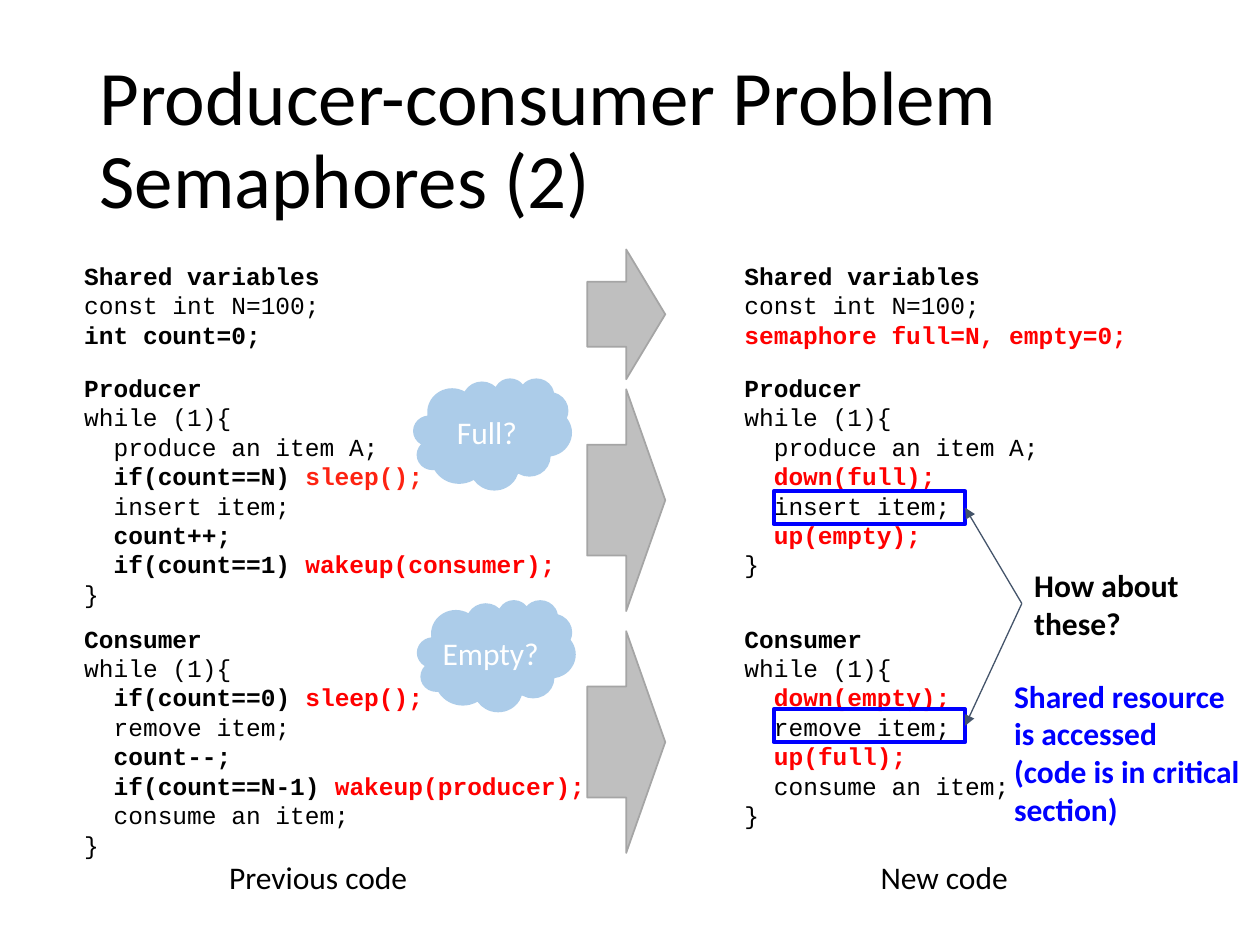
from lxml import etree
from pptx import Presentation
from pptx.dml.color import RGBColor
from pptx.enum import shapes, text
from pptx.oxml import ns
from pptx.util import Inches, Pt

rgb = RGBColor.from_string
MARKS = {"*": ("000000", True), "!": ("FF0000", True), "~": ("FD2312", True)}


def write(sp, lines, font="Calibri", size=18, color="000000", bold=False,
          align=text.PP_ALIGN.LEFT, anchor=text.MSO_ANCHOR.TOP, inset=(0.1, 0.05), wrap=True):
    tf = sp.text_frame
    tf.word_wrap, tf.vertical_anchor = wrap, anchor
    tf.margin_left = tf.margin_right = Inches(inset[0])
    tf.margin_top = tf.margin_bottom = Inches(inset[1])
    for i, line in enumerate(lines):
        p = tf.add_paragraph() if i else tf.paragraphs[0]
        p.alignment = align
        for part in line.split("|"):
            c, b = MARKS.get(part[0], (color, bold))
            r = p.add_run()
            r.text = part[1:] if part[0] in MARKS else part
            r.font.name, r.font.size, r.font.bold = font, Pt(size), b
            r.font.color.rgb = rgb(c)


def add_shape(kind, box, fill=None, line=None, width=1):
    sp = s.shapes.add_shape(kind, *map(Inches, box))
    sp.shadow.inherit = False
    if fill:
        sp.fill.solid()
        sp.fill.fore_color.rgb = rgb(fill)
    else:
        sp.fill.background()
    if line:
        sp.line.color.rgb = rgb(line)
        sp.line.width = Pt(width)
    else:
        sp.line.fill.background()
    return sp


prs = Presentation()
prs.slide_width, prs.slide_height = Inches(10), Inches(7.5)
s = prs.slides.add_slide(prs.slide_layouts[5])

title = s.shapes.title
title.left, title.top, title.width, title.height = map(Inches, (0.69, 0.4, 8.62, 1.45))
write(title, ["Producer-consumer Problem Semaphores (2)"], size=44, anchor=text.MSO_ANCHOR.MIDDLE)
title.text_frame.auto_size = text.MSO_AUTO_SIZE.NONE
title.text_frame.paragraphs[0].line_spacing = 0.9

for top, height in [(1.98, 1.03), (3.09, 1.76), (5.01, 1.76)]:
    add_shape(shapes.MSO_SHAPE.RIGHT_ARROW, (4.66, top, 0.62, height), "BFBFBF", "A5A5A5")

old_x, new_x = 0.57, 5.81
shared_y, producer_y, consumer_y = 2.02, 2.91, 4.9
code = [
    (old_x, shared_y, 2.08, 0.81, ["*Shared variables", "const int N=100;", "*int count=0;"]),
    (new_x, shared_y, 3.26, 0.81,
     ["*Shared variables", "const int N=100;", "!semaphore full=N, empty=0;"]),
    (old_x, producer_y, 5, 1.99,
     ["*Producer", "while (1){", "  produce an item A;", "  |*if(count==N) |~sleep();",
      "  insert item;", "  |*count++;", "  |*if(count==1) |!wakeup(consumer);", "}"]),
    (new_x, producer_y, 5, 1.75,
     ["*Producer", "while (1){", "  produce an item A;", "!  down(full);",
      "  insert item;", "  |!up(empty);", "}"]),
    (old_x, consumer_y, 5.19, 1.99,
     ["*Consumer", "while (1){", "  |*if(count==0) |!sleep();", "  remove item;", "  |*count--;",
      "  |*if(count==N-1) |!wakeup(producer);", "  consume an item;", "}"]),
    (new_x, consumer_y, 5.19, 1.75,
     ["*Consumer", "while (1){", "!  down(empty);", "  remove item;", "!  up(full);",
      "  consume an item;", "}"]),
]
for *box, lines in code:
    write(s.shapes.add_textbox(*map(Inches, box)), lines, font="Courier New", size=14,
          wrap=box[1] != shared_y)

for x, width, caption in [(1.72, 1.63, "Previous code"), (6.89, 1.23, "New code")]:
    sp = s.shapes.add_textbox(*map(Inches, (x, 6.76, width, 0.4)))
    write(sp, [caption], wrap=False)

for x, y, question in [(3.28, 3, "Full?"), (3.31, 4.76, "Empty?")]:
    sp = add_shape(shapes.MSO_SHAPE.CLOUD, (x, y, 1.26, 0.89), "5B9BD5")
    color = sp._element.spPr.find(".//" + ns.qn("a:srgbClr"))
    etree.SubElement(color, ns.qn("a:alpha"), val="50000")
    write(sp, [question], color="FFFFFF", align=text.PP_ALIGN.CENTER,
          anchor=text.MSO_ANCHOR.MIDDLE, inset=(0, 0))

for y in (3.9, 5.63):
    add_shape(shapes.MSO_SHAPE.RECTANGLE, (6.14, y, 1.52, 0.26), line="0000FF", width=2.25)
    cx = s.shapes.add_connector(shapes.MSO_CONNECTOR.STRAIGHT,
                                *map(Inches, (8.11, 4.79, 7.66, y + 0.13)))
    cx.line.color.rgb = rgb("44546A")
    cx.line.width = Pt(0.75)
    etree.SubElement(cx.line._get_or_add_ln(), ns.qn("a:tailEnd"), type="triangle")
    etree.SubElement(cx._element.spPr, ns.qn("a:effectLst"))

notes = [
    (8.11, 4.39, 1.63, 0.81, "000000", ["How about these?"]),
    (7.95, 5.27, 1.99, 1.41, "0000FF",
     ["Shared resource is accessed", "(code is in critical section)"]),
]
for *box, color, lines in notes:
    write(s.shapes.add_textbox(*map(Inches, box)), lines, color=color, bold=True, inset=(0.1, 0.1))

prs.save("out.pptx")
